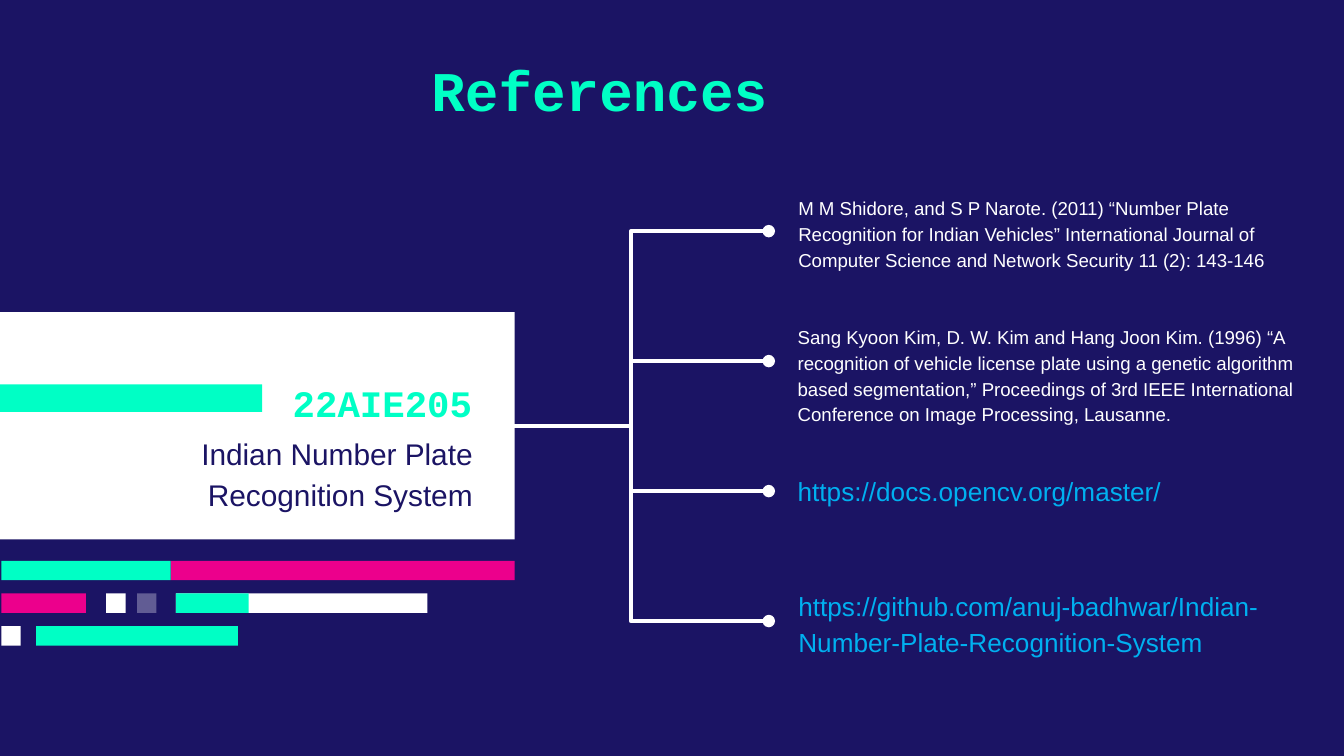
from lxml import etree
from pptx import Presentation
from pptx.dml.color import RGBColor
from pptx.enum.shapes import MSO_CONNECTOR, MSO_SHAPE
from pptx.enum.text import MSO_ANCHOR, MSO_AUTO_SIZE, PP_ALIGN
from pptx.oxml.ns import qn
from pptx.util import Inches, Pt

RECT, ELBOW = MSO_SHAPE.RECTANGLE, MSO_CONNECTOR.ELBOW
TOP, MID = MSO_ANCHOR.TOP, MSO_ANCHOR.MIDDLE
LEFT, CENTER, RIGHT = PP_ALIGN.LEFT, PP_ALIGN.CENTER, PP_ALIGN.RIGHT
FIXED = MSO_AUTO_SIZE.NONE

HUES = {"navy": "1B1464", "mint": "00FFC5", "pink": "EC008C",
        "white": "FFFFFF", "sky": "00B0F0"}
COLOR = {name: RGBColor.from_string(code) for name, code in HUES.items()}

# The slide is a grid of square cells: 100 columns by 56.25 rows
CELL = Inches(0.1)
deck = Presentation()
deck.slide_width, deck.slide_height = 100 * CELL, int(56.25 * CELL)
slide = deck.slides.add_slide(deck.slide_layouts[4])
slide.background.fill.solid()
slide.background.fill.fore_color.rgb = COLOR["navy"]
shapes = slide.shapes


def block(x, y, w, h, hue):
    """Draw a plain filled rectangle, in grid cells."""
    rect = shapes.add_shape(RECT, *[int(n * CELL) for n in (x, y, w, h)])
    rect.shadow.inherit = False
    rect.fill.solid()
    rect.fill.fore_color.rgb = COLOR[hue]
    rect.line.fill.background()
    return rect


def write(shape, place, text, font, hue, align=LEFT, anchor=TOP, pad=0, **para):
    """Move a text shape to its cells and set its text and format."""
    for name, n in zip(("left", "top", "width", "height"), place):
        setattr(shape, name, int(n * CELL))
    frame = shape.text_frame
    look = {"word_wrap": True, "auto_size": FIXED, "vertical_anchor": anchor,
            "margin_left": CELL, "margin_right": CELL,
            "margin_top": pad, "margin_bottom": pad}
    for name, value in look.items():
        setattr(frame, name, value)
    line = frame.paragraphs[0]
    line.text = text
    props = line._p.get_or_add_pPr()
    props.set("marL", "0")
    props.set("indent", "0")
    etree.SubElement(props, qn("a:buNone"))
    para = {"alignment": align, "space_before": Pt(0), **para}
    for name, value in para.items():
        setattr(line, name, value)
    face, size, bold = font
    for name, value in {"name": face, "size": Pt(size), "bold": bold}.items():
        setattr(line.runs[0].font, name, value)
    line.runs[0].font.color.rgb = COLOR[hue]


# Title
write(shapes.title, (8.6, 2.95, 72, 7.3), "References",
      ("Courier New", 30, True), "mint", CENTER, MID, CELL)

# References, one per body placeholder
refs = [
    ((58.4, 14.4, 40.2, 6.1), 10, "white",
     "M M Shidore, and S P Narote. (2011) “Number Plate Recognition for Indian "
     "Vehicles” International Journal of Computer Science and Network Security "
     "11 (2): 143-146"),
    ((58.35, 24, 39, 3), 10, "white",
     "Sang Kyoon Kim, D. W. Kim and Hang Joon Kim. (1996) “A recognition of "
     "vehicle license plate using a genetic algorithm based segmentation,” "
     "Proceedings of 3rd IEEE International Conference on Image Processing, "
     "Lausanne."),
    ((58.35, 35.05, 29.5, 3), 14, "sky", "https://docs.opencv.org/master/"),
    ((58.4, 43.6, 40.2, 3), 14, "sky",
     "https://github.com/anuj-badhwar/Indian-Number-Plate-Recognition-System"),
]
for idx, (place, size, hue, text) in enumerate(refs, 1):
    write(slide.placeholders[idx], place, text, ("Arial", size, False), hue,
          line_spacing=1.15)

# Project card
block(0, 23.22, 38.3, 16.92, "white")
block(0, 28.6, 19.5, 2.05, "mint")
write(shapes.add_textbox(0, 0, CELL, CELL), (7.87, 32, 28.3, 4.8),
      "Indian Number Plate Recognition System", ("Arial", 16, False), "navy",
      RIGHT, line_spacing=1.15, space_after=Pt(16))
write(shapes.add_textbox(0, 0, CELL, CELL), (9.53, 27.8, 26.6, 4.3),
      "22AIE205", ("Courier New", 20, True), "mint", RIGHT, MID)

# Three rows of bars under the card: left, width, colour
bars = [
    [(12.7, 25.6, "pink"), (0.1, 12.6, "mint")],
    [(13.1, 18.7, "white"), (13.1, 5.4, "mint"), (0.1, 6.3, "pink"),
     (7.9, 1.45, "white")],
    [(0.1, 1.45, "white"), (2.7, 15, "mint")],
]
for row, parts in enumerate(bars):
    for x, w, hue in parts:
        block(x, 41.73 + 2.43 * row, w, 1.45, hue)

# Faint square in the middle row
faint = block(10.2, 44.16, 1.45, 1.45, "white")
tone = faint.fill._xPr.find(qn("a:solidFill"))[0]
etree.SubElement(tone, qn("a:alpha"), val="31000")

# Branches from the card to the references
for row in range(len(refs)):
    ends = (36.7, 31.7, 57.2, 17.2 + 9.67 * row)
    link = shapes.add_connector(ELBOW, *[int(n * CELL) for n in ends])
    link.line.color.rgb = COLOR["white"]
    link.line.width = Pt(2.25)
    etree.SubElement(link.line._get_or_add_ln(), qn("a:tailEnd"), type="oval")
    etree.SubElement(link._element.spPr, qn("a:effectLst"))

deck.save("out.pptx")
